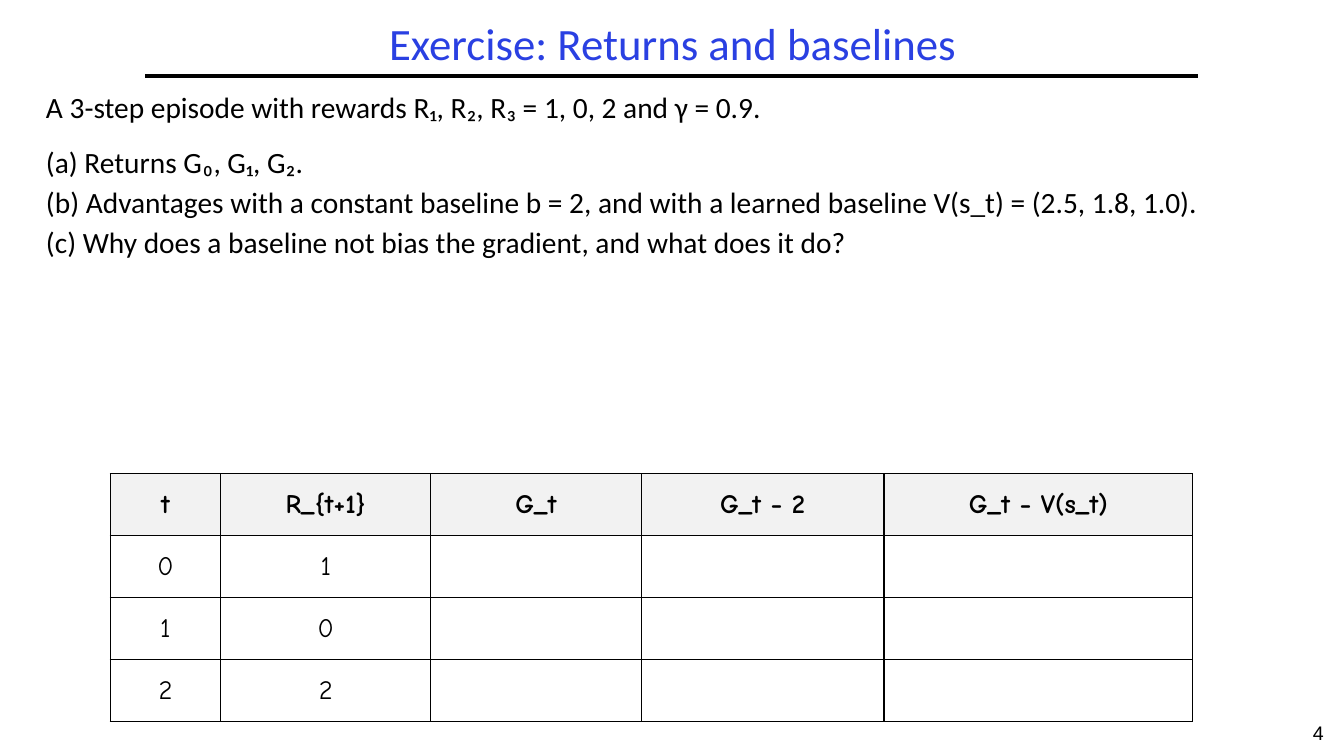
from lxml import etree
from pptx import Presentation
from pptx.dml.color import RGBColor
from pptx.enum.shapes import MSO_CONNECTOR
from pptx.enum.text import MSO_ANCHOR, PP_ALIGN
from pptx.oxml.ns import qn
from pptx.util import Cm, Pt

LEFT, CENTER = PP_ALIGN.LEFT, PP_ALIGN.CENTER
TOP, MIDDLE = MSO_ANCHOR.TOP, MSO_ANCHOR.MIDDLE
STRAIGHT = MSO_CONNECTOR.STRAIGHT

THEME = {
    "black": RGBColor(0, 0, 0),
    "blue": RGBColor(0x2A, 0x40, 0xE2),
    "gray": RGBColor(0xF2, 0xF2, 0xF2),
    "title": {"name": "Calibri", "size": Pt(32)},
    "body": {"name": "Calibri", "size": Pt(21)},
    "page": {"name": "Arial", "size": Pt(14)},
    "head": {"name": "Comic Neue", "size": Pt(19), "bold": True},
    "cell": {"name": "Comic Neue", "size": Pt(19), "bold": False},
}


def style(para, kind, color, align):
    para.alignment = align
    for key, value in THEME[kind].items():
        setattr(para.font, key, value)
    para.font.color.rgb = THEME[color]


def add_text(area, lines, kind, color, align, anchor, gaps, pitch):
    box = slide.shapes.add_textbox(*map(Cm, area))
    frame = box.text_frame
    frame.word_wrap = True
    frame.vertical_anchor = anchor
    frame.text = "\n".join(lines)
    for para, gap in zip(frame.paragraphs, gaps):
        style(para, kind, color, align)
        para.line_spacing = pitch
        para.space_before = Pt(gap)


deck = Presentation()
deck.slide_width, deck.slide_height = Cm(33.87), Cm(19.05)
slide = deck.slides.add_slide(deck.slide_layouts[6])

rule = slide.shapes.add_connector(STRAIGHT, Cm(3.66), Cm(1.91), Cm(30.2), Cm(1.91))
rule.line.color.rgb = THEME["black"]
rule.line.width = Pt(3)
etree.SubElement(rule._element.spPr, qn("a:effectLst"))

add_text((32.59, 18.03, 1.27, 1.02), ["4"], "page", "black", CENTER, TOP, [0], 1.0)
add_text((3.66, 0.43, 26.59, 1.47), ["Exercise: Returns and baselines"],
         "title", "blue", CENTER, MIDDLE, [0], 0.9)
tasks = [
    "A 3-step episode with rewards R₁, R₂, R₃ = 1, 0, 2 and γ = 0.9.",
    "(a) Returns G₀, G₁, G₂.",
    "(b) Advantages with a constant baseline b = 2, and with a learned baseline V(s_t) = (2.5, 1.8, 1.0).",
    "(c) Why does a baseline not bias the gradient, and what does it do?",
]
add_text((0.91, 2.21, 31.95, 9.45), tasks, "body", "black", LEFT, TOP,
         [0, 17, 6, 6], 0.9)

rows = [
    ["t", "R_{t+1}", "G_t", "G_t − 2", "G_t − V(s_t)"],
    ["0", "1", "", "", ""],
    ["1", "0", "", "", ""],
    ["2", "2", "", "", ""],
]
widths = [2.78, 5.3, 5.3, 6.12, 7.78]
pads = {
    "margin_left": Cm(0.18), "margin_right": Cm(0.18),
    "margin_top": Cm(0.08), "margin_bottom": Cm(0.08),
    "vertical_anchor": MIDDLE,
}
table = slide.shapes.add_table(len(rows), len(widths), Cm(2.78), Cm(11.94),
                               Cm(sum(widths)), Cm(6.24)).table
table.first_row = table.horz_banding = False
for column, width in zip(table.columns, widths):
    column.width = Cm(width)
for r, row in enumerate(rows):
    for c, text in enumerate(row):
        cell = table.cell(r, c)
        for key, value in pads.items():
            setattr(cell, key, value)
        cell.text = text
        style(cell.text_frame.paragraphs[0], "cell" if r else "head", "black", CENTER)
        if r:
            cell.fill.background()
        else:
            cell.fill.solid()
            cell.fill.fore_color.rgb = THEME["gray"]
        props = cell._tc.get_or_add_tcPr()
        for spot, side in enumerate(("lnL", "lnR", "lnT", "lnB")):
            edge = etree.Element(qn("a:" + side), w=str(Pt(1)))
            fill = etree.SubElement(edge, qn("a:solidFill"))
            etree.SubElement(fill, qn("a:srgbClr"), val=str(THEME["black"]))
            props.insert(spot, edge)

deck.save("out.pptx")
